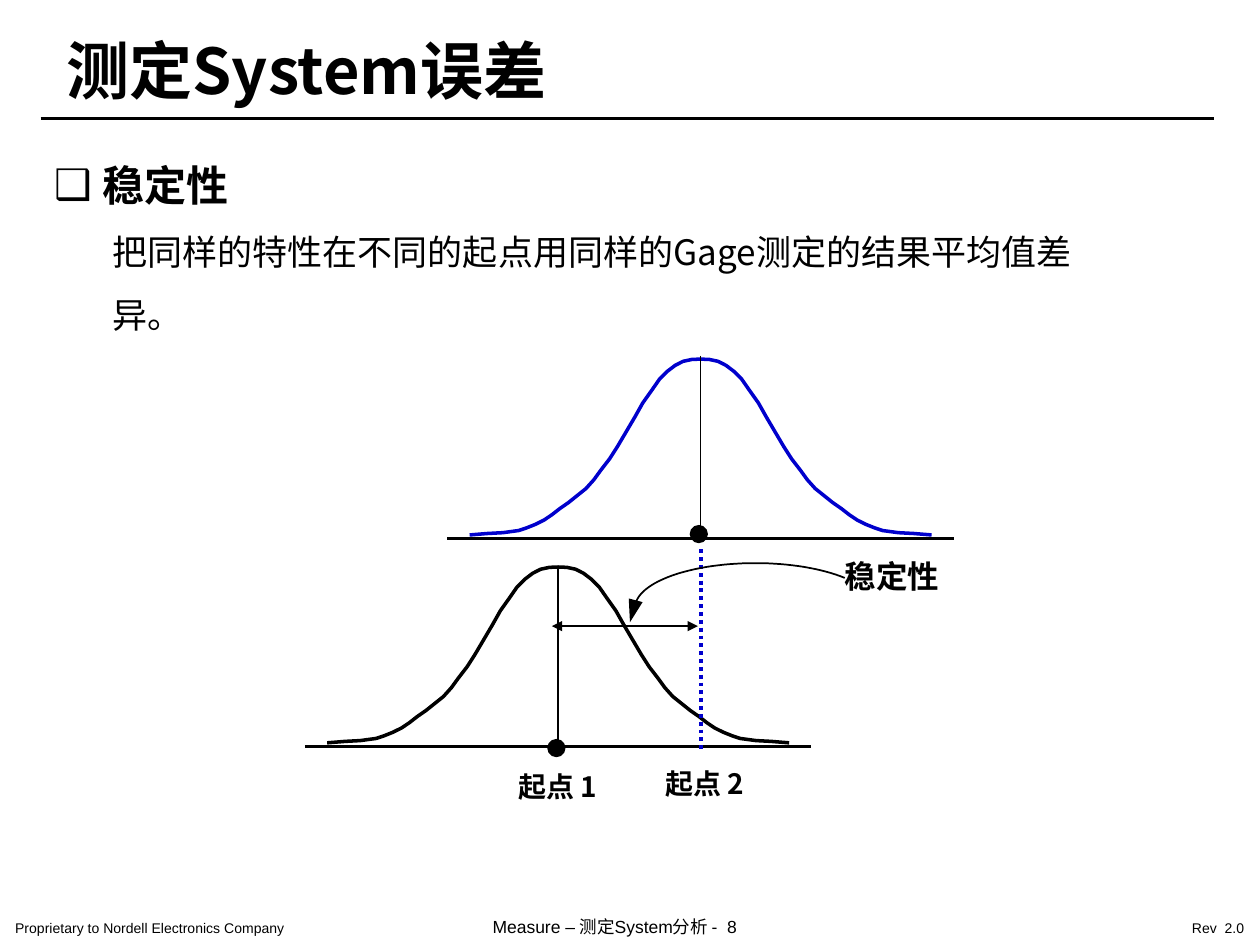
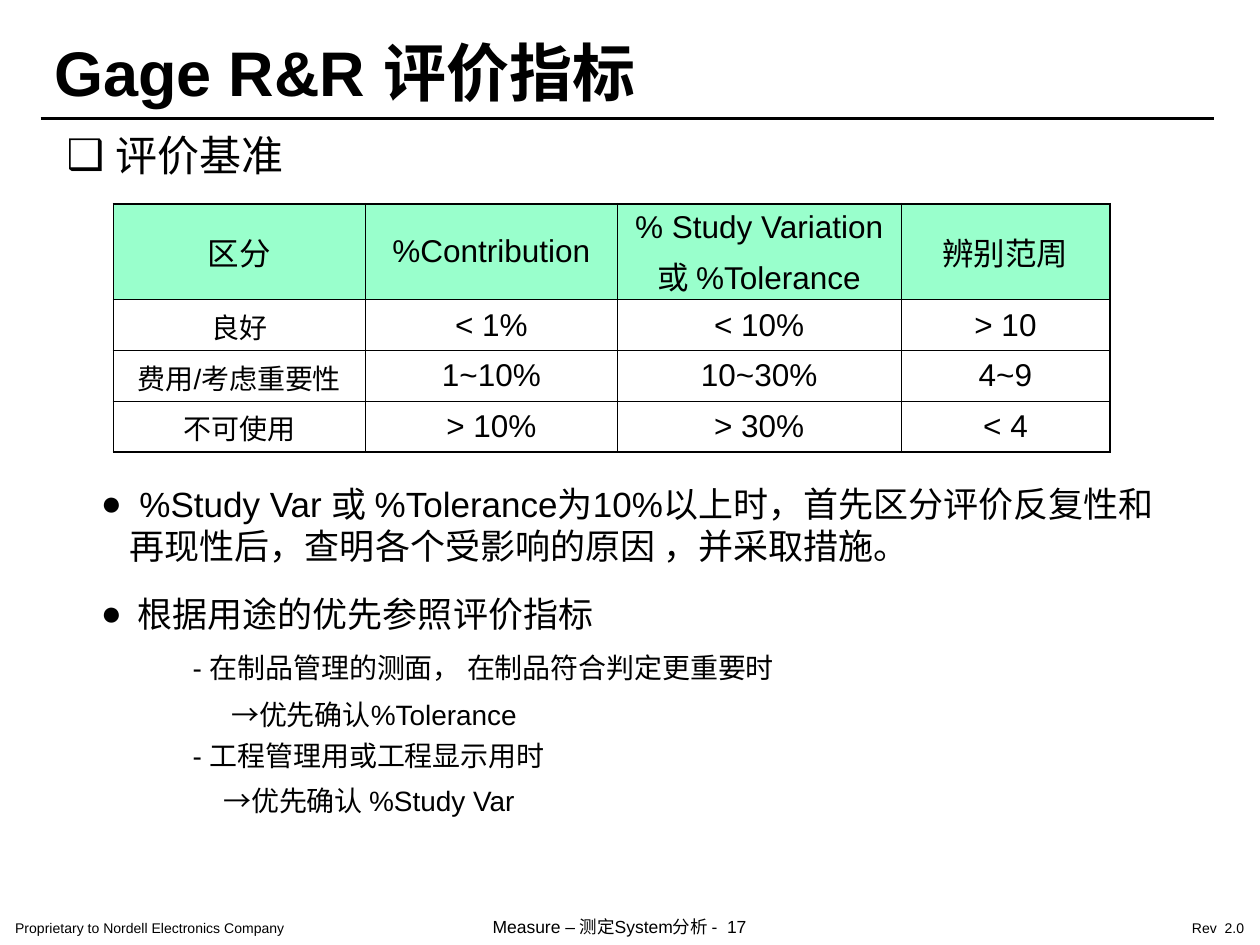
"""Builds two slides on measurement system error and Gage R&R criteria."""
from math import cos, radians, sin

from lxml.etree import SubElement
from pptx import Presentation
from pptx.dml.color import RGBColor
from pptx.enum.dml import MSO_LINE
from pptx.enum.shapes import MSO_CONNECTOR, MSO_SHAPE
from pptx.enum.text import MSO_ANCHOR, PP_ALIGN
from pptx.oxml.ns import qn
from pptx.util import Pt

COLORS = {"ink": "000000", "curve": "0000CC", "header": "99FFCC"}
LATIN, CHINESE = "Arial", "Noto Sans CJK SC"
BELL_HALF = [
    (0, 0), (5, 0.2), (10, 1.3), (14.5, 3.6), (19, 7), (23.5, 11.5), (28, 18),
    (33, 25), (37.5, 33), (42.5, 41.5), (47.5, 50), (52, 57), (57, 63.5),
    (61, 69), (65.5, 74), (70.5, 78), (75.5, 82), (80.5, 85.5), (85, 89),
    (89.5, 92), (94.5, 94.5), (99.5, 96.5), (104, 98), (113, 99.2),
    (122, 99.7), (132, 100.5),
]
BELL_WIDTH, BELL_HEIGHT = 289.5, 102.5
CRITERIA = [
    ["区分", "%Contribution", "% Study Variation\n或 %Tolerance", "辨别范周"],
    ["良好", "< 1%", "< 10%", "> 10"],
    ["费用/考虑重要性", "1~10%", "10~30%", "4~9"],
    ["不可使用", "> 10%", "> 30%", "< 4"],
]


def color(name):
    """Return the named colour."""
    return RGBColor.from_string(COLORS[name])


def format_paragraph(paragraph, text, size=18, font=LATIN, bold=False, align=None,
                     before=None, after=None, spacing=None, margin=0, indent=0,
                     bullet=None):
    """Write text into a paragraph with its format."""
    properties = paragraph._p.get_or_add_pPr()
    properties.set("marL", str(Pt(margin)))
    properties.set("indent", str(Pt(indent)))
    if bullet:
        bullet_font = SubElement(properties, qn("a:buFont"))
        bullet_font.set("typeface", LATIN)
        SubElement(properties, qn("a:buChar")).set("char", bullet)
    paragraph.alignment = align
    paragraph.line_spacing = spacing
    if before is not None:
        paragraph.space_before = Pt(before)
    if after is not None:
        paragraph.space_after = Pt(after)
    run = paragraph.add_run()
    run.text = text
    run.font.size = Pt(size)
    run.font.bold = bold
    run.font.color.rgb = color("ink")
    run.font.name = font
    SubElement(run._r.get_or_add_rPr(), qn("a:ea")).set("typeface", CHINESE)


def add_text(slide, box, text, inset=(7.2, 3.6), anchor=MSO_ANCHOR.TOP, wrap=True,
             **formats):
    """Add a text box; text is a string or a list of (string, formats)."""
    shape = slide.shapes.add_textbox(*map(Pt, box))
    frame = shape.text_frame
    frame.word_wrap = wrap
    frame.vertical_anchor = anchor
    frame.margin_left = frame.margin_right = Pt(inset[0])
    frame.margin_top = frame.margin_bottom = Pt(inset[1])
    items = [(text, {})] if isinstance(text, str) else text
    for index, (line, own) in enumerate(items):
        paragraph = frame.add_paragraph() if index else frame.paragraphs[0]
        format_paragraph(paragraph, line, **{**formats, **own})


def add_line(slide, start, end, width=1, name="ink", dash=None, arrows=False):
    """Add a straight connector, with arrowheads at both ends if asked."""
    connector = slide.shapes.add_connector(
        MSO_CONNECTOR.STRAIGHT, *map(Pt, (*start, *end)))
    connector.line.width = Pt(width)
    connector.line.color.rgb = color(name)
    if dash:
        connector.line.dash_style = dash
    if arrows:
        line = connector.line._get_or_add_ln()
        for tag in ("a:headEnd", "a:tailEnd"):
            SubElement(line, qn(tag)).set("type", "triangle")
    SubElement(connector._element.spPr, qn("a:effectLst"))


def add_outline(slide, points, line=None, width=1, fill=None):
    """Add a freeform through points, closed when it has a fill."""
    points = [(Pt(x), Pt(y)) for x, y in points]
    builder = slide.shapes.build_freeform(*points[0], scale=1.0)
    builder.add_line_segments(points[1:], close=fill is not None)
    shape = builder.convert_to_shape()
    shape.shadow.inherit = False
    if fill:
        shape.fill.solid()
        shape.fill.fore_color.rgb = color(fill)
    else:
        shape.fill.background()
    if line:
        shape.line.color.rgb = color(line)
        shape.line.width = Pt(width)
    else:
        shape.line.fill.background()


def add_frame(presentation, page):
    """Add a blank slide with the title rule and the footer."""
    slide = presentation.slides.add_slide(presentation.slide_layouts[6])
    inset = (8.64, 4.32)
    add_text(slide, (0, 521.3, 231, 18), "Proprietary to Nordell Electronics Company",
             inset, size=8)
    add_text(slide, (272.9, 519.1, 206.6, 20.9), f"Measure – 测定System分析 -  {page}",
             inset, wrap=False, size=10)
    add_text(slide, (672.5, 521.3, 47.5, 18), "Rev  2.0", inset, wrap=False, size=8)
    add_line(slide, (23.2, 67.9), (693.6, 67.9), 1.5)
    return slide


def add_title(slide, box, text, **formats):
    """Add the slide title."""
    add_text(slide, box, text, size=36, bold=True, **formats)


def add_heading(slide, box, text, **formats):
    """Add a heading with a box bullet."""
    add_text(slide, box, text, size=24, bullet="❑", margin=27.8, indent=-27.8, **formats)


def add_bell(slide, left, top, name, stem, dot_drop):
    """Draw a bell curve with base line, centre stem and dot."""
    center, base = left + BELL_WIDTH / 2, top + BELL_HEIGHT
    add_line(slide, (left, base), (left + BELL_WIDTH, base), 2)
    mirrored = [(-x, y) for x, y in reversed(BELL_HALF[1:])]
    add_outline(slide, [(center + x, top + y) for x, y in mirrored + BELL_HALF], name, 2)
    add_line(slide, (center, top + stem[0]), (center, top + stem[1]))
    size = 9.4
    dot = slide.shapes.add_shape(
        MSO_SHAPE.OVAL, Pt(center - 1 - size / 2), Pt(base + dot_drop - size / 2),
        Pt(size), Pt(size))
    dot.shadow.inherit = False
    dot.fill.solid()
    dot.fill.fore_color.rgb = color("ink")
    dot.line.color.rgb = color("ink")
    dot.line.width = Pt(1)


def add_callout(slide, left, top, width, height):
    """Draw the curved arrow that leads from the label to the gap."""
    radius_x, radius_y = width / 2, height / 2
    arc = [(left + radius_x * (1 + cos(radians(angle))),
            top + radius_y * (1 + sin(radians(angle)))) for angle in range(186, 320, 3)]
    add_outline(slide, arc, "ink")
    add_outline(slide, [(left + 4.3, top + 22.3), (left - 2.9, top + 33.8),
                        (left - 3.6, top + 20.2)], fill="ink")


def add_drift(slide, left, top):
    """Draw both distributions, the gap between them and the labels."""
    second_left, first_top = left + 81.4, top + 118.8
    first_center = left + BELL_WIDTH / 2
    second_center = second_left + BELL_WIDTH / 2
    add_bell(slide, left, first_top, "ink", (1.4, 104.4), 1)
    add_bell(slide, second_left, top, "curve", (-2, 101.5), -2.5)
    add_line(slide, (second_center, top + 108.7), (second_center, top + 223.2), 2.25,
             "curve", MSO_LINE.ROUND_DOT)
    add_line(slide, (second_center - 1.5, top + 152.6), (first_center - 3.6, top + 152.6),
             arrows=True)
    add_callout(slide, left + 188.7, top + 116.6, 137.5, 51.1)
    label = {"font": CHINESE, "bold": True}
    for center, label_top, text in ((first_center, 234.7, "起点 1"),
                                    (second_center + 2.5, 232.6, "起点 2")):
        add_text(slide, (center - 33.5, top + label_top, 67, 19.4), text, (0, 0),
                 MSO_ANCHOR.MIDDLE, size=16, align=PP_ALIGN.CENTER, **label)
    add_text(slide, (left + 302.8, top + 110.2, 80, 27.4), "稳定性", (5.76, 2.88),
             size=18, **label)


def set_borders(cell, widths):
    """Set the left, right, top and bottom borders of a cell."""
    properties = cell._tc.get_or_add_tcPr()
    for side, width in zip("LRTB", widths):
        line = SubElement(properties, qn(f"a:ln{side}"))
        line.set("w", str(Pt(width)))
        fill = SubElement(line, qn("a:solidFill"))
        SubElement(fill, qn("a:srgbClr")).set("val", COLORS["ink"])


def add_criteria(slide, left, top):
    """Add the table of evaluation criteria."""
    widths, heights = [144, 144, 162, 119.5], [54.6, 29, 29, 29]
    table = slide.shapes.add_table(
        len(heights), len(widths), *map(Pt, (left, top, sum(widths), sum(heights)))).table
    table.first_row = table.horz_banding = False
    for column, width in zip(table.columns, widths):
        column.width = Pt(width)
    for row, height in zip(table.rows, heights):
        row.height = Pt(height)
    last_row, last_column = len(heights) - 1, len(widths) - 1
    for row, texts in enumerate(CRITERIA):
        for column, text in enumerate(texts):
            cell = table.cell(row, column)
            outer = (column == 0, column == last_column, row == 0, row == last_row)
            set_borders(cell, [1.08 if edge else 0.45 for edge in outer])
            if row == 0:
                cell.fill.solid()
                cell.fill.fore_color.rgb = color("header")
            else:
                cell.fill.background()
            cell.vertical_anchor = MSO_ANCHOR.MIDDLE
            cell.margin_left = cell.margin_right = Pt(1.44)
            cell.margin_top = cell.margin_bottom = Pt(3.6)
            frame = cell.text_frame
            for index, line in enumerate(text.split("\n")):
                paragraph = frame.add_paragraph() if index else frame.paragraphs[0]
                format_paragraph(paragraph, line, size=16 if row and not column else 18,
                                 align=PP_ALIGN.CENTER, before=4.5 if index else None)


def add_guidance(slide, box):
    """Add the bullets on how to use the criteria."""
    point = {"size": 20, "bullet": "●", "margin": 36, "indent": -16.5, "after": 5}
    detail = {"size": 16, "margin": 72, "before": 4}
    add_text(slide, box, [
        (" %Study Var 或 %Tolerance为10%以上时，首先区分评价反复性和再现性后，"
         "查明各个受影响的原因 ，并采取措施。", point),
        (" 根据用途的优先参照评价指标", {**point, "before": 5, "spacing": 1.2}),
        ("- 在制品管理的测面， 在制品符合判定更重要时", {**detail, "after": 4}),
        ("→优先确认%Tolerance", {**detail, "margin": 94}),
        ("- 工程管理用或工程显示用时", detail),
        ("→优先确认 %Study Var", {**detail, "margin": 89.5, "before": 6.5}),
    ])


def build_stability(presentation):
    """Build the slide on stability."""
    slide = add_frame(presentation, 8)
    add_title(slide, (30.2, 18.7, 630, 41.8), "测定System误差", font=CHINESE,
              inset=(7.92, 4.32), anchor=MSO_ANCHOR.MIDDLE)
    add_heading(slide, (23.8, 87.8, 666, 38.9), "稳定性", font=CHINESE, bold=True)
    add_text(slide, (62.1, 119.2, 572, 74.2),
             "把同样的特性在不同的起点用同样的Gage测定的结果平均值差异。",
             (2.16, 0.72), size=20, font=CHINESE, spacing=1.5)
    add_drift(slide, 174.2, 205.2)


def build_evaluation(presentation):
    """Build the slide on Gage R&R criteria."""
    slide = add_frame(presentation, 17)
    add_title(slide, (23.8, 15.8, 414, 41.8), "Gage R&R 评价指标")
    add_heading(slide, (31, 70.6, 650, 36), "评价基准")
    add_criteria(slide, 64.8, 116.4)
    add_guidance(slide, (31, 272.3, 650, 200))


def main():
    """Build and save the presentation."""
    presentation = Presentation()
    presentation.slide_width, presentation.slide_height = Pt(720), Pt(540)
    build_stability(presentation)
    build_evaluation(presentation)
    presentation.save("out.pptx")


if __name__ == "__main__":
    main()
